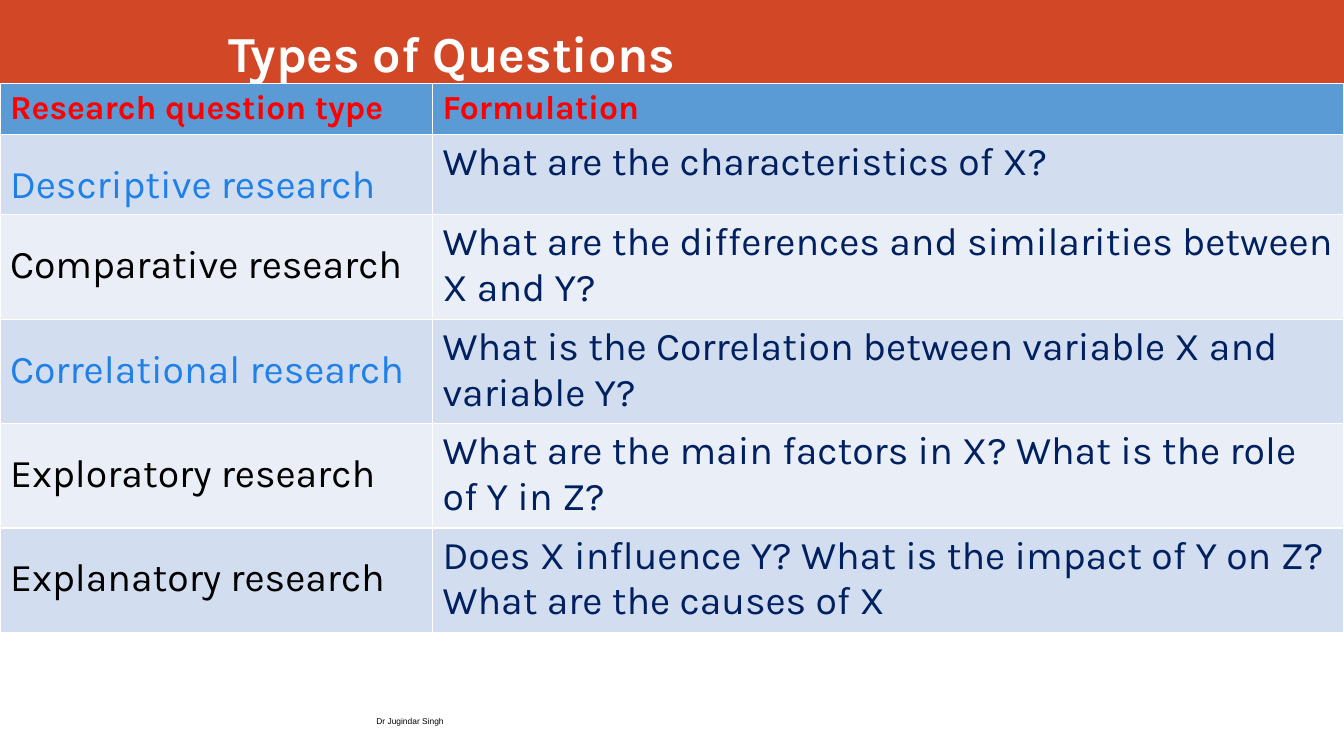
from lxml import etree
from pptx import Presentation
from pptx import util as u
from pptx.dml import color
from pptx.enum import shapes, text
from pptx.oxml import ns

COLORS = {
    "banner": "D24726", "white": "FFFFFF", "black": "000000", "red": "FF0000",
    "header": "5B9BD5", "odd": "D2DEEF", "even": "EAEFF7",
    "highlight": "1F80E8", "navy": "002060",
}
WIDTH, HEIGHT = 33.87, 19.05
COLUMN_WIDTHS = [10.9, 22.97]
ROW_HEIGHTS = [1.27, 2.03] + [2.63] * 4
HEADINGS = ["Research question type", "Formulation"]
QUESTIONS = [
    ("Descriptive research", "highlight", "What are the characteristics of X?"),
    ("Comparative research", "black", "What are the differences and similarities between X and Y?"),
    ("Correlational research", "highlight", "What is the Correlation between variable X and variable Y?"),
    ("Exploratory research", "black", "What are the main factors in X? What is the role of Y in Z?"),
    ("Explanatory research", "black",
     "Does X influence Y? What is the impact of Y on Z? What are the causes of X"),
]
HEADING_FONT = {"name": "Karla", "size": u.Pt(24), "bold": True}
BODY_FONT = {"name": "Karla", "size": u.Pt(28), "bold": False}
TITLE_FONT = {"name": "Karla", "size": u.Pt(36), "bold": True}
FOOTER_FONT = {"name": "Arial", "size": u.Pt(6), "bold": False}


def rgb(key):
    return color.RGBColor.from_string(COLORS[key])


def fill_with(target, key):
    target.fill.solid()
    target.fill.fore_color.rgb = rgb(key)


def write(frame, wording, font, key, **paragraph_format):
    paragraph = frame.paragraphs[0]
    for attribute, value in paragraph_format.items():
        setattr(paragraph, attribute, value)
    run = paragraph.add_run()
    run.text = wording
    for attribute, value in font.items():
        setattr(run.font, attribute, value)
    run.font.color.rgb = rgb(key)


def add_banner(slide):
    banner = slide.shapes.add_shape(
        shapes.MSO_SHAPE.RECTANGLE, 0, 0, u.Cm(WIDTH), u.Cm(3.7))
    banner.shadow.inherit = False
    fill_with(banner, "banner")
    banner.line.fill.background()


def add_label(slide, box, anchor, wording, font, key, **paragraph_format):
    frame = slide.shapes.add_textbox(*map(u.Cm, box)).text_frame
    frame.word_wrap = True
    frame.vertical_anchor = anchor
    write(frame, wording, font, key, **paragraph_format)


def add_borders(cell):
    properties = cell._tc.get_or_add_tcPr()
    for position, side in enumerate("LRTB"):
        border = etree.Element(ns.qn(f"a:ln{side}"), w=str(u.Pt(1)))
        solid = etree.SubElement(border, ns.qn("a:solidFill"))
        etree.SubElement(solid, ns.qn("a:srgbClr"), val=COLORS["white"])
        properties.insert(position, border)


def fill_cell(cell, background, wording, font, key, **paragraph_format):
    fill_with(cell, background)
    add_borders(cell)
    write(cell.text_frame, wording, font, key, **paragraph_format)


def add_question_table(slide):
    table = slide.shapes.add_table(
        len(ROW_HEIGHTS), len(COLUMN_WIDTHS), 0, u.Cm(2.11),
        u.Cm(WIDTH), u.Cm(sum(ROW_HEIGHTS))).table
    for column, width in zip(table.columns, COLUMN_WIDTHS):
        column.width = u.Cm(width)
    for row, height in zip(table.rows, ROW_HEIGHTS):
        row.height = u.Cm(height)
    for index, heading in enumerate(HEADINGS):
        fill_cell(table.cell(0, index), "header", heading, HEADING_FONT, "red")
    for index, (kind, kind_color, formulation) in enumerate(QUESTIONS, 1):
        band = "odd" if index % 2 else "even"
        fill_cell(table.cell(index, 0), band, kind, BODY_FONT, kind_color, line_spacing=1.5)
        fill_cell(table.cell(index, 1), band, formulation, BODY_FONT, "navy")


def main():
    deck = Presentation()
    deck.slide_width, deck.slide_height = u.Cm(WIDTH), u.Cm(HEIGHT)
    slide = deck.slides.add_slide(deck.slide_layouts[6])
    add_banner(slide)
    add_label(slide, (5.5, 0, 19.56, 2.2), text.MSO_ANCHOR.BOTTOM,
              "Types of Questions", TITLE_FONT, "white")
    add_label(slide, (2.34, 17.65, 9.09, 1.02), text.MSO_ANCHOR.MIDDLE,
              "Dr Jugindar Singh", FOOTER_FONT, "black", alignment=text.PP_ALIGN.RIGHT)
    add_question_table(slide)
    deck.save("out.pptx")


if __name__ == "__main__":
    main()
